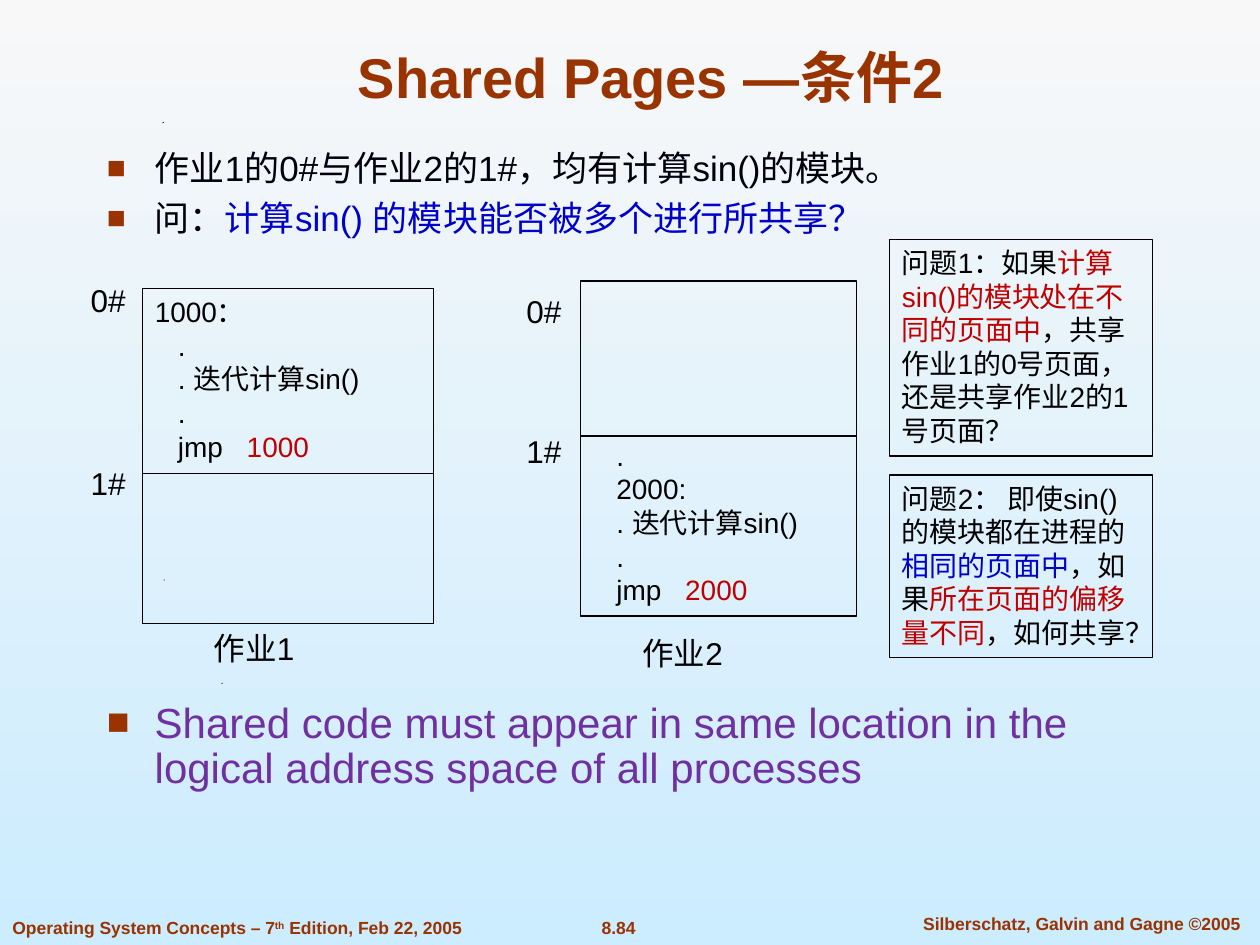
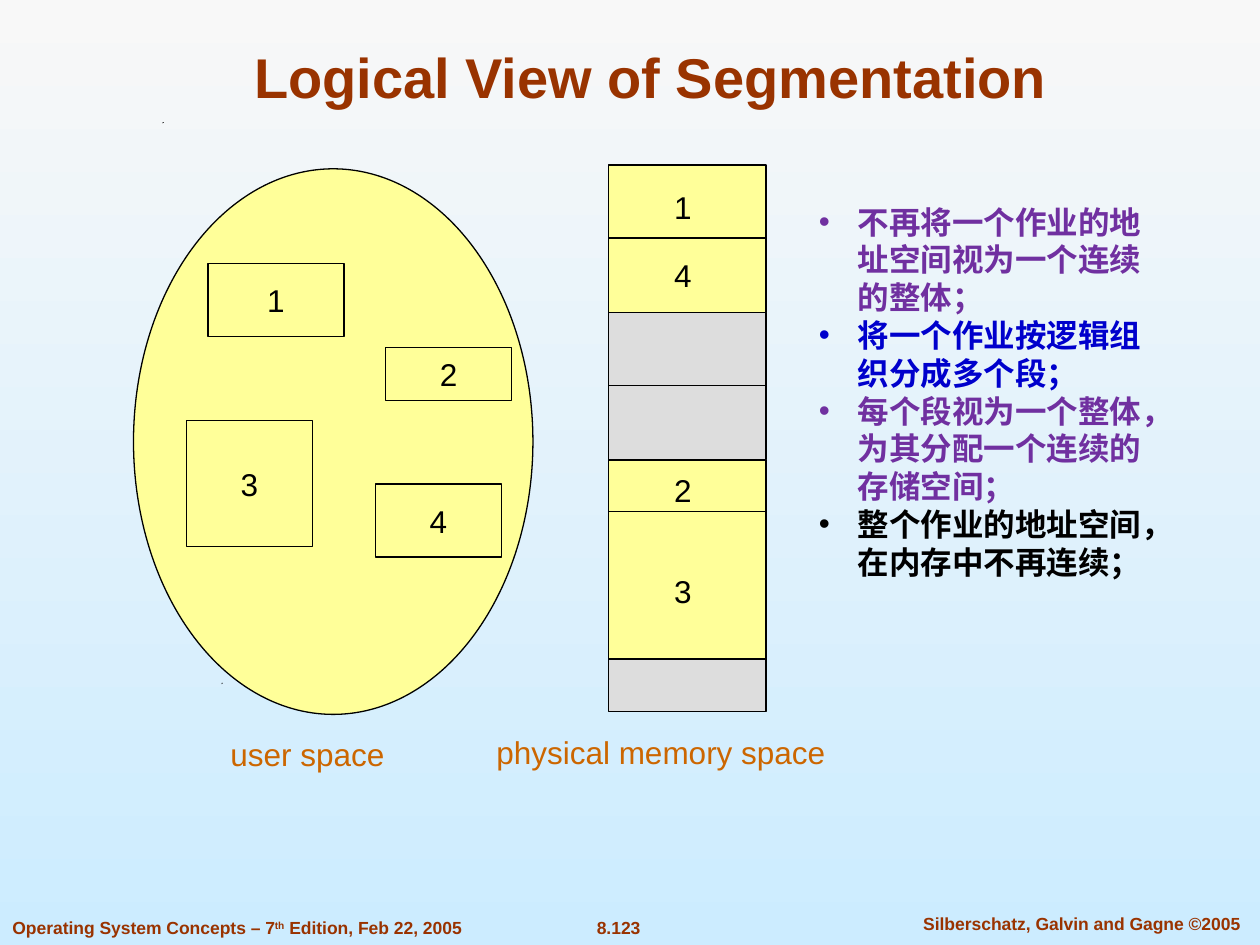
from lxml import etree
from pptx import Presentation
from pptx.dml.color import RGBColor
from pptx.enum.shapes import MSO_CONNECTOR as CONNECTOR, MSO_SHAPE as SHAPE
from pptx.enum.text import MSO_ANCHOR as ANCHOR, PP_ALIGN as ALIGN
from pptx.oxml.ns import qn
from pptx.util import Inches, Pt

COLORS = {
    "sky_top": "F8F8F8", "sky_bottom": "CCECFF", "brown": "993300",
    "black": "000000", "ink": "00000C", "blue": "0000CC", "red": "C00000",
    "purple": "7030A0", "orange": "CC6600", "yellow": "FFFF99", "gray": "DDDDDD",
}
FONT = "Arial"
CHINESE_FONT = "Noto Sans CJK SC"


def rgb(name):
    return RGBColor.from_string(COLORS[name])


def add_bullet(paragraph, char, indent, color=None, percent=None):
    properties = paragraph._p.get_or_add_pPr()
    properties.set("marL", str(Inches(indent)))
    properties.set("indent", str(-Inches(indent)))
    if color:
        holder = etree.SubElement(properties, qn("a:buClr"))
        etree.SubElement(holder, qn("a:srgbClr"), val=COLORS[color])
    if percent:
        etree.SubElement(properties, qn("a:buSzPct"), val=str(percent * 1000))
    etree.SubElement(properties, qn("a:buFont"), typeface=FONT)
    etree.SubElement(properties, qn("a:buChar"), char=char)


def add_tab_stop(paragraph, position):
    tabs = etree.SubElement(paragraph._p.get_or_add_pPr(), qn("a:tabLst"))
    etree.SubElement(tabs, qn("a:tab"), pos=str(Inches(position)), algn="l")


def write(shape, paragraphs, size=18, color="black", bold=False, font=FONT,
          align=ALIGN.LEFT, anchor=ANCHOR.TOP, wrap=True, bullet=None, tab=None,
          gap=0, line_spacing=None, top_inset=0.05):
    """Fill a shape; each paragraph is a list of strings or (string, colour) runs."""
    frame = shape.text_frame
    frame.word_wrap = wrap
    frame.vertical_anchor = anchor
    frame.margin_top = Inches(top_inset)
    for index, runs in enumerate(paragraphs):
        paragraph = frame.add_paragraph() if index else frame.paragraphs[0]
        if bullet:
            add_bullet(paragraph, **bullet)
        if tab:
            add_tab_stop(paragraph, tab)
        paragraph.alignment = align
        if line_spacing:
            paragraph.line_spacing = line_spacing
        if index and gap:
            paragraph.space_before = Pt(gap)
        for part in runs:
            text, run_color = part if isinstance(part, tuple) else (part, color)
            run = paragraph.add_run()
            run.text = text
            run.font.size = Pt(size)
            run.font.bold = bold
            run.font.name = font
            run.font.color.rgb = rgb(run_color)


def add_text(slide, box, *paragraphs, **text_format):
    text_box = slide.shapes.add_textbox(*map(Inches, box))
    write(text_box, paragraphs, **text_format)
    return text_box


def add_box(slide, box, fill=None, kind=SHAPE.RECTANGLE):
    shape = slide.shapes.add_shape(kind, *map(Inches, box))
    shape.shadow.inherit = False
    if fill:
        shape.fill.solid()
        shape.fill.fore_color.rgb = rgb(fill)
    else:
        shape.fill.background()
    shape.line.color.rgb = rgb("black")
    shape.line.width = Pt(0.75)
    return shape


def add_divider(slide, left, right, y):
    line = slide.shapes.add_connector(
        CONNECTOR.STRAIGHT, Inches(left), Inches(y), Inches(right), Inches(y))
    line.line.color.rgb = rgb("black")
    line.line.width = Pt(0.75)
    etree.SubElement(line._element.spPr, qn("a:effectLst"))


def add_speck(slide, x, y):
    builder = slide.shapes.build_freeform(Inches(x), Inches(y + 0.01))
    builder.add_line_segments([(Inches(x + 0.01), Inches(y)),
                               (Inches(x), Inches(y))])
    speck = builder.convert_to_shape()
    speck.shadow.inherit = False
    speck.fill.solid()
    speck.fill.fore_color.rgb = rgb("black")
    speck.line.fill.background()


def set_background(presentation):
    fill = presentation.slide_master.background.fill
    fill.gradient()
    fill.gradient_angle = 270
    for stop, position, name in zip(fill.gradient_stops, (0, 1),
                                    ("sky_top", "sky_bottom")):
        stop.position = position
        stop.color.rgb = rgb(name)


def add_page(presentation, title, number):
    """Add a slide with the title, footers and specks that all slides share."""
    slide = presentation.slides.add_slide(presentation.slide_layouts[6])
    for x, y in ((1.76, 5.42), (1.3, 4.6), (1.29, 0.97)):
        add_speck(slide, x, y)
    footer = dict(size=10, color="brown", bold=True)
    add_text(slide, (4.51, 7.23, 0.8, 0.27), [number], align=ALIGN.CENTER, **footer)
    add_text(slide, (7.1, 7.2, 2.97, 0.27), ["Silberschatz, Galvin and Gagne ©2005"],
             align=ALIGN.CENTER, **footer)
    edition = add_text(
        slide, (0, 7.23, 4.21, 0.27),
        ["Operating System Concepts – 7", "th", " Edition, Feb 22, 2005"], **footer)
    ordinal = edition.text_frame.paragraphs[0].runs[1]
    ordinal.font._element.set("baseline", "30000")
    add_text(slide, (0.75, 0.25, 8.83, 0.67), [title], size=32, color="brown",
             bold=True, align=ALIGN.CENTER, anchor=ANCHOR.BOTTOM)
    return slide


def add_job(slide, box, divider_y, code, top_inset=0.05):
    """Draw a job's address space: two pages, with code in one of them."""
    write(add_box(slide, box), code, size=16, tab=0.73, top_inset=top_inset)
    add_divider(slide, box[0], box[0] + box[2], divider_y)


def add_question(slide, top, height, runs):
    write(add_box(slide, (7.06, top, 2.09, height)), [runs], size=16)


def build_shared_pages(presentation):
    slide = add_page(presentation, "Shared Pages —条件2", "8.84")
    body = dict(line_spacing=0.9, gap=7,
                bullet=dict(char="■", indent=0.38, color="brown", percent=90))
    add_text(slide, (0.75, 1.15, 8.16, 0.83),
             ["作业1的0#与作业2的1#，均有计算sin()的模块。"],
             ["问：", ("计算sin() 的模块能否被多个进行所共享？", "blue")],
             size=20, color="ink", **body)

    sine = "   . 迭代计算sin()"
    add_job(slide, (1.13, 2.29, 2.31, 2.66), 3.76,
            [["1000："], ["   ."], [sine], ["   ."],
             ["   jmp\t", ("1000", "red")]])
    add_job(slide, (4.61, 2.23, 2.19, 2.66), 3.46,
            [["   ."], ["   2000:"], [sine], ["   ."],
             ["   jmp\t", ("2000", "red")]], top_inset=1.25)
    for left, top, width, label in (
            (0.62, 2.18, 0.58, "0#"), (0.62, 3.63, 0.58, "1#"),
            (4.08, 2.27, 0.58, "0#"), (4.08, 3.38, 0.58, "1#"),
            (1.6, 4.94, 1.2, "作业1"), (5, 4.98, 1.2, "作业2")):
        add_text(slide, (left, top, width, 0.4), [label])

    add_question(slide, 1.9, 1.72, [
        "问题1：如果", ("计算sin()的模块处在不同的页面中", "red"),
        "，共享作业1的0号页面，还是共享作业2的1号页面？"])
    add_question(slide, 3.77, 1.45, [
        "问题2： 即使sin()的模块都在进程的", ("相同的页面中", "blue"),
        "，如果", ("所在页面的偏移量不同", "red"), "，如何共享？"])
    add_text(slide, (0.75, 5.52, 8.16, 1.01),
             ["Shared code must appear in same location in the "
              "logical address space of all processes"],
             size=24, color="purple", **body)


def build_segmentation(presentation):
    slide = add_page(presentation, "Logical View of Segmentation", "8.123")
    centered = dict(align=ALIGN.CENTER, anchor=ANCHOR.MIDDLE)

    add_box(slide, (1.06, 1.34, 3.17, 4.33), "yellow", SHAPE.OVAL)
    for segment, box in (("1", (1.65, 2.09, 1.08, 0.58)), ("3", (1.48, 3.34, 1, 1)),
                         ("2", (3.06, 2.76, 1, 0.42)), ("4", (2.98, 3.84, 1, 0.58))):
        write(add_box(slide, box, "yellow"), [[segment]], wrap=False, **centered)

    memory_left, memory_width = 4.83, 1.25
    top = 1.31
    for height, fill in ((1.17, "yellow"), (1.17, "gray"),
                         (1.58, "yellow"), (0.42, "gray")):
        add_box(slide, (memory_left, top, memory_width, height), fill)
        top += height
    for y in (1.89, 3.06, 4.06):
        add_divider(slide, memory_left, memory_left + memory_width, y)
    for segment, label_top in (("1", 1.44), ("4", 1.98), ("2", 3.69), ("3", 4.49)):
        add_text(slide, (5.25, label_top, 0.34, 0.4), [segment], wrap=False, **centered)

    add_text(slide, (1.73, 5.78, 1.42, 0.4), ["user space"], color="orange", **centered)
    add_text(slide, (3.84, 5.77, 2.81, 0.4), ["physical memory space"],
             color="orange", **centered)
    add_text(slide, (6.4, 1.56, 2.81, 3.13),
             ["不再将一个作业的地址空间视为一个连续的整体；"],
             [("将一个作业按逻辑组织分成多个段；", "blue")],
             ["每个段视为一个整体，为其分配一个连续的存储空间；"],
             [("整个作业的地址空间，在内存中不再连续；", "black")],
             color="purple", bold=True, font=CHINESE_FONT,
             bullet=dict(char="•", indent=0.31))


def main():
    presentation = Presentation()
    presentation.slide_width = Inches(10)
    presentation.slide_height = Inches(7.5)
    set_background(presentation)
    build_shared_pages(presentation)
    build_segmentation(presentation)
    presentation.save("out.pptx")


if __name__ == "__main__":
    main()
